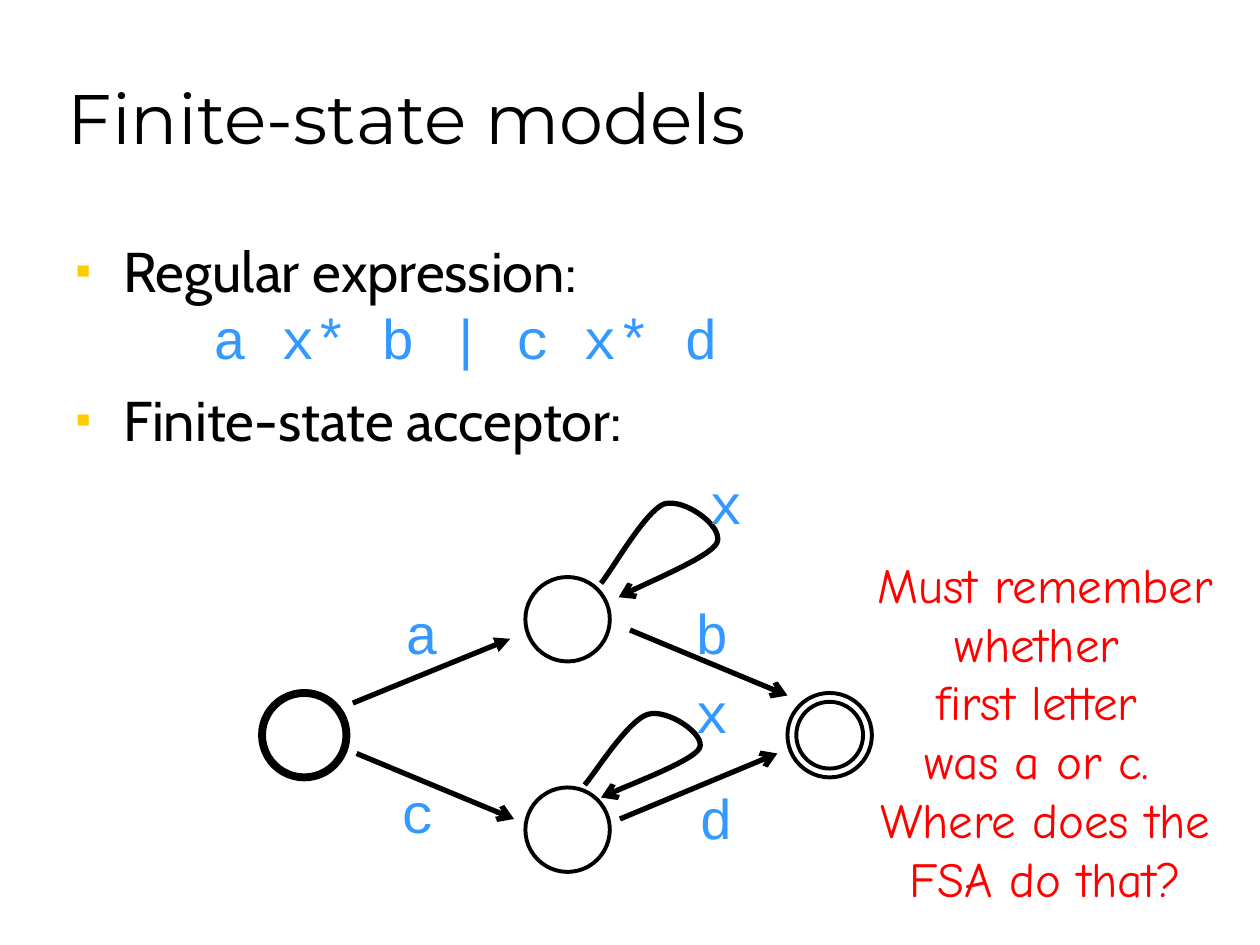
from lxml import etree
from pptx import Presentation
from pptx.dml.color import RGBColor
from pptx.enum.shapes import MSO_CONNECTOR, MSO_SHAPE
from pptx.enum.text import MSO_ANCHOR, PP_ALIGN
from pptx.oxml.ns import qn
from pptx.util import Inches, Pt

BLACK = RGBColor(0x00, 0x00, 0x00)
BLUE = RGBColor(0x33, 0x99, 0xFF)
RED = RGBColor(0xFF, 0x00, 0x00)
BULLET_HEX = "FFCC00"

TITLE_FONT, BODY_FONT = "Montserrat", "Cabin"
CODE_FONT, NOTE_FONT = "Courier New", "Comic Neue"

ELLIPSE = MSO_SHAPE.OVAL
STRAIGHT = MSO_CONNECTOR.STRAIGHT
TOP, BOTTOM = MSO_ANCHOR.TOP, MSO_ANCHOR.BOTTOM
LEFT, CENTER = PP_ALIGN.LEFT, PP_ALIGN.CENTER

STATE_SIZE = 0.67
CURVE_STEPS = 16


def add_text(slide, box, paragraphs, size=32, font=BODY_FONT, color=BLACK,
             align=LEFT, anchor=TOP, wrap=True, bullets=False):
    """Each paragraph is a list of (text, overrides); a newline breaks the line."""
    frame = slide.shapes.add_textbox(*map(Inches, box)).text_frame
    frame.word_wrap = wrap
    frame.vertical_anchor = anchor
    for index, pieces in enumerate(paragraphs):
        paragraph = frame.paragraphs[0] if index == 0 else frame.add_paragraph()
        paragraph.alignment = align
        if bullets:
            add_bullet(paragraph)
        for text, overrides in pieces:
            for number, line in enumerate(text.split("\n")):
                if number:
                    paragraph.add_line_break()
                run = paragraph.add_run()
                run.text = line
                run.font.size = Pt(size)
                run.font.name = overrides.get("font", font)
                run.font.color.rgb = overrides.get("color", color)


def add_bullet(paragraph):
    paragraph.space_before = Pt(8)
    props = paragraph._p.get_or_add_pPr()
    props.set("marL", str(Inches(0.38)))
    props.set("indent", str(-Inches(0.38)))
    bullet_color = etree.SubElement(props, qn("a:buClr"))
    etree.SubElement(bullet_color, qn("a:srgbClr"), val=BULLET_HEX)
    etree.SubElement(props, qn("a:buSzPct"), val="80000")
    etree.SubElement(props, qn("a:buFont"), typeface="Arial")
    etree.SubElement(props, qn("a:buChar"), char="▪")
    tabs = etree.SubElement(props, qn("a:tabLst"))
    etree.SubElement(tabs, qn("a:tab"), pos=str(Inches(1)), algn="l")


def add_state(slide, left, top, size=STATE_SIZE, weight=2.25):
    state = slide.shapes.add_shape(
        ELLIPSE, Inches(left), Inches(top), Inches(size), Inches(size))
    state.shadow.inherit = False
    state.fill.background()
    state.line.color.rgb = BLACK
    state.line.width = Pt(weight)


def style_arrow(arrow, head):
    arrow.line.color.rgb = BLACK
    arrow.line.width = Pt(3)
    etree.SubElement(arrow.line._get_or_add_ln(), qn("a:tailEnd"), type=head)


def add_transition(slide, start, end, head="arrow"):
    arrow = slide.shapes.add_connector(STRAIGHT, *map(Inches, start + end))
    style_arrow(arrow, head)
    etree.SubElement(arrow._element.spPr, qn("a:effectLst"))


def bezier(points, t):
    weights = ((1 - t) ** 3, 3 * t * (1 - t) ** 2, 3 * t ** 2 * (1 - t), t ** 3)
    return tuple(Inches(sum(w * p[axis] for w, p in zip(weights, points)))
                 for axis in (0, 1))


def add_loop(slide, points):
    """Draw chained cubic curves; neighbours share an end point."""
    curve = [bezier(points[i:i + 4], step / CURVE_STEPS)
             for i in range(0, len(points) - 1, 3)
             for step in range(1, CURVE_STEPS + 1)]
    builder = slide.shapes.build_freeform(*bezier(points[:4], 0))
    builder.add_line_segments(curve, close=False)
    loop = builder.convert_to_shape()
    loop.shadow.inherit = False
    loop.fill.background()
    style_arrow(loop, "arrow")


def main():
    prs = Presentation()
    prs.slide_width, prs.slide_height = Inches(10), Inches(7.5)
    slide = prs.slides.add_slide(prs.slide_layouts[6])

    # Title and bullets
    add_text(slide, (0.44, 0.06, 8.5, 1.25), [[("Finite-state models", {})]],
             size=40, font=TITLE_FONT, anchor=BOTTOM)
    code = {"font": CODE_FONT, "color": BLUE}
    add_text(slide, (0.5, 1.83, 8.94, 5.08), [
        [("Regular expression:\n\t ", {}), ("a x* b | c x* d", code)],
        [("Finite-state acceptor:", {})],
    ], bullets=True)

    # States: start, upper, lower, and final with its inner ring
    add_state(slide, 2.08, 5.5, weight=4.5)
    add_state(slide, 4.17, 4.58)
    add_state(slide, 4.17, 6.25)
    add_state(slide, 6.25, 5.5)
    add_state(slide, 6.32, 5.57, size=0.53)

    # Transitions between states
    add_transition(slide, (2.8, 5.58), (4.05, 5.07), head="triangle")
    add_transition(slide, (2.83, 5.98), (4.08, 6.5))
    add_transition(slide, (4.92, 6.5), (6.17, 5.98))
    add_transition(slide, (5, 5), (6.25, 5.52))

    # Self-loops
    add_loop(slide, [(4.77, 4.63), (4.86, 4.52), (5.12, 4.06), (5.27, 4),
                     (5.43, 3.95), (5.75, 4.18), (5.69, 4.31),
                     (5.63, 4.43), (5.07, 4.65), (4.91, 4.74)])
    add_loop(slide, [(4.64, 6.23), (4.72, 6.14), (4.98, 5.72), (5.14, 5.67),
                     (5.29, 5.62), (5.61, 5.83), (5.55, 5.94),
                     (5.49, 6.05), (4.93, 6.25), (4.77, 6.33)])

    # Transition letters
    for letter, left, top in [("x", 5.53, 3.67), ("x", 5.42, 5.33),
                              ("a", 3.12, 4.7), ("b", 5.42, 4.7),
                              ("c", 3.09, 6.12), ("d", 5.45, 6.17)]:
        add_text(slide, (left, top, 0.46, 0.64), [[(letter, {})]],
                 font=CODE_FONT, color=BLUE, wrap=False)

    # Question at the right
    question = ("Must remember whether \nfirst letter \nwas a or c. \n"
                "Where does the FSA do that?")
    add_text(slide, (6.67, 4.35, 3.25, 2.9), [[(question, {})]],
             size=28, font=NOTE_FONT, color=RED, align=CENTER)

    prs.save("out.pptx")


if __name__ == "__main__":
    main()
